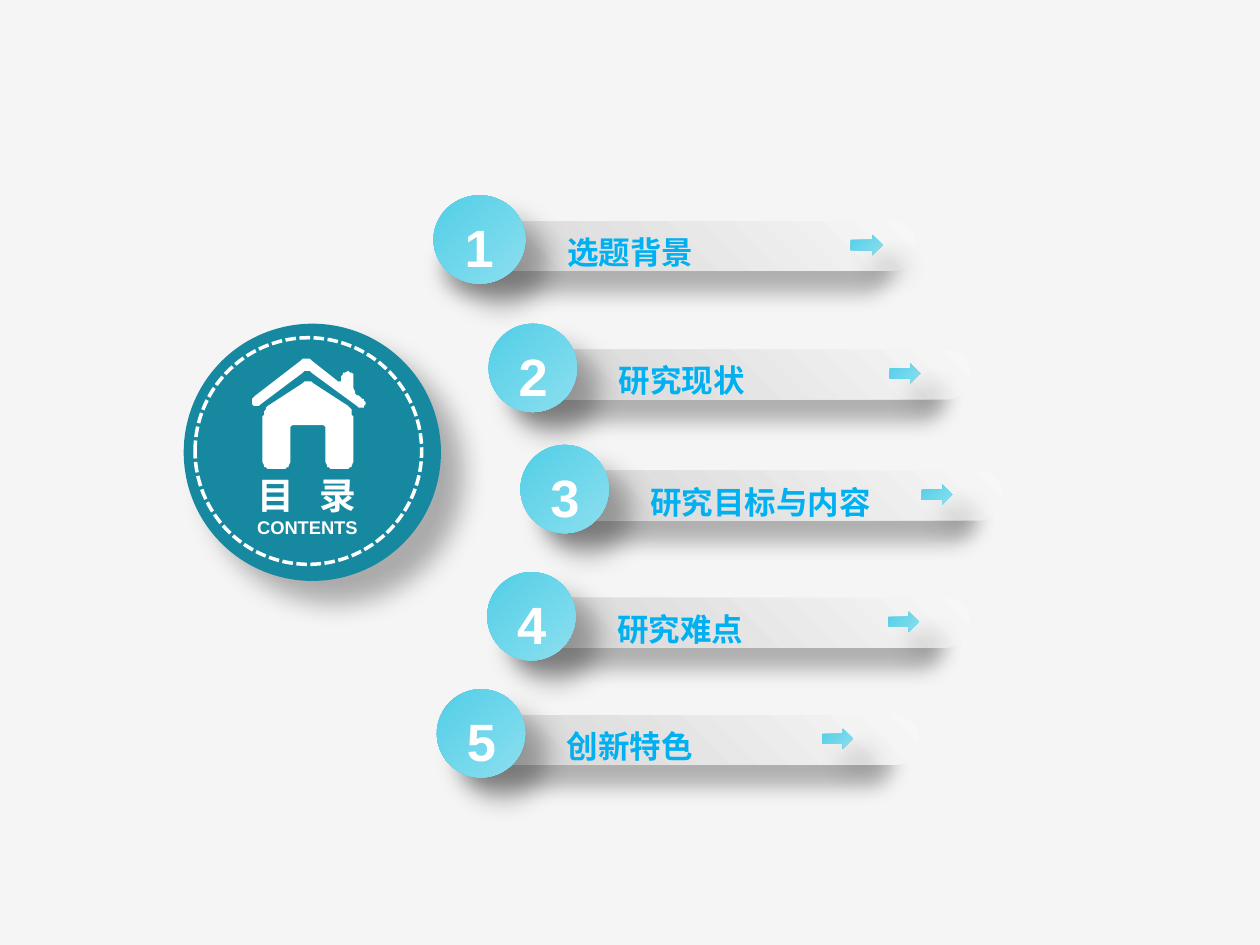
from math import dist

from lxml.etree import SubElement
from pptx import Presentation
from pptx.dml.color import RGBColor
from pptx.enum.dml import MSO_LINE
from pptx.enum.shapes import MSO_SHAPE
from pptx.enum.text import MSO_ANCHOR, PP_ALIGN
from pptx.oxml.ns import qn
from pptx.util import Pt

WHITE = RGBColor(0xFF, 0xFF, 0xFF)
BACKGROUND = RGBColor(0xF5, 0xF5, 0xF5)
TEAL = RGBColor(0x16, 0x89, 0xA0)
LABEL_BLUE = RGBColor(0x00, 0xB0, 0xF0)
CYAN = (RGBColor(0x52, 0xCE, 0xE7), RGBColor(0x8C, 0xDF, 0xEF))
GREY = (RGBColor(0xD6, 0xD6, 0xD6), RGBColor(0xF7, 0xF7, 0xF7))

# Shadows: opacity in percent, blur, distance, direction in degrees
SOFT_SHADOW = (30, 15, 18, 45)
BAR_SHADOW = (28, 11.8, 19.7, 141)

deck = Presentation()
deck.slide_width, deck.slide_height = Pt(720), Pt(540)
page = deck.slides.add_slide(deck.slide_layouts[6])
page.background.fill.solid()
page.background.fill.fore_color.rgb = BACKGROUND


def add_shape(kind, left, top, width, height, colors=(), shadow=None):
    """Add a borderless shape with no fill, one colour or a two-colour gradient."""
    shape = page.shapes.add_shape(kind, Pt(left), Pt(top), Pt(width), Pt(height))
    shape.line.fill.background()
    shape.shadow.inherit = False
    if len(colors) == 2:
        shape.fill.gradient()
        shape.fill.gradient_angle = 315
        for stop, color in zip(shape.fill.gradient_stops, colors):
            stop.color.rgb = color
    elif colors:
        shape.fill.solid()
        shape.fill.fore_color.rgb = colors[0]
    else:
        shape.fill.background()
    if shadow:
        opacity, blur, distance, angle = shadow
        effects = shape._element.spPr.find(qn("a:effectLst"))
        outer = SubElement(effects, qn("a:outerShdw"), blurRad=str(Pt(blur)),
                           dist=str(Pt(distance)), dir=str(angle * 60000),
                           algn="tl", rotWithShape="0")
        black = SubElement(outer, qn("a:srgbClr"), val="000000")
        SubElement(black, qn("a:alpha"), val=str(opacity * 1000))
    return shape


def add_text(text, left, top, width, height, sizes, color=WHITE, indent=5, bottom=3,
             anchor=MSO_ANCHOR.BOTTOM, align=PP_ALIGN.LEFT, tab=None):
    """Add bold text, one paragraph per line, with a size for each line."""
    box = page.shapes.add_textbox(Pt(left), Pt(top), Pt(width), Pt(height))
    frame = box.text_frame
    frame.word_wrap = True
    frame.vertical_anchor = anchor
    frame.margin_left, frame.margin_right = Pt(indent), Pt(5)
    frame.margin_top, frame.margin_bottom = Pt(3), Pt(bottom)
    frame.text = text
    for para, size in zip(frame.paragraphs, sizes):
        para.alignment = align
        if tab:
            stops = SubElement(para._p.get_or_add_pPr(), qn("a:tabLst"))
            SubElement(stops, qn("a:tab"), pos=str(Pt(tab)), algn="l")
        for span in para.runs:
            span.font.name = "Arial"
            span.font.size = Pt(size)
            span.font.bold = True
            span.font.color.rgb = color


# Title disc
add_shape(MSO_SHAPE.OVAL, 105, 185, 147, 147, [TEAL], SOFT_SHADOW)

# House icon: corners of each outline, rounded off with short curves
HOUSE_BODY = [(176, 216.5), (201.6, 234.5), (201.6, 267.8), (186.5, 267.8),
              (186.5, 242.6), (165.6, 242.6), (165.6, 267.8), (150.5, 267.8),
              (150.5, 234.5)]
HOUSE_ROOF = [(175, 203.8), (195.1, 219.5), (195.1, 212.4), (202.3, 212.4),
              (202.3, 224.5), (209.5, 229.5), (207, 234.5), (175.7, 210.5),
              (146.2, 233.5), (142.8, 228.5)]
for corners in (HOUSE_BODY, HOUSE_ROOF):
    points = []
    for i, corner in enumerate(corners):
        neighbours = (corners[i - 1], corners[(i + 1) % len(corners)])
        start, end = [
            [c + (n - c) * min(0.5, 3.5 / dist(corner, near)) for c, n in zip(corner, near)]
            for near in neighbours]
        for t in (0, 0.2, 0.4, 0.6, 0.8, 1):
            points.append([(1 - t) ** 2 * s + 2 * t * (1 - t) * c + t ** 2 * e
                           for s, c, e in zip(start, corner, end)])
    outline = page.shapes.build_freeform(*points[0], scale=Pt(1))
    outline.add_line_segments(points[1:], close=True)
    part = outline.convert_to_shape()
    part.fill.solid()
    part.fill.fore_color.rgb = WHITE
    part.line.fill.background()
    part.shadow.inherit = False

# Title and dashed ring
add_text("目\t录\nCONTENTS", 142, 267, 80, 50, (21, 10.5),
         anchor=MSO_ANCHOR.TOP, tab=35.4)
ring = add_shape(MSO_SHAPE.OVAL, 111.5, 193, 129.5, 129.5)
ring.line.color.rgb = WHITE
ring.line.width = Pt(2)
ring.line.dash_style = MSO_LINE.SQUARE_DOT

# Contents rows: label, left, top, horizontal scale, offset of the bar
ROWS = [
    ("选题背景", 247.7, 111.6, 1.04, 20),
    ("研究现状", 279.2, 185, 1, 29.5),
    ("研究目标与内容", 297.4, 254.2, 1, 29.5),
    ("研究难点", 278.4, 326.9, 1, 29.5),
    ("创新特色", 249.6, 393.8, 1, 29.5),
]
for number, (label, left, top, scale, offset) in enumerate(ROWS, 1):
    bar = add_shape(MSO_SHAPE.ROUNDED_RECTANGLE, left + offset, top + 14.8,
                    246.3 * scale, 28.4, GREY, BAR_SHADOW)
    bar.adjustments[0] = 0.5
    # Radial gradient spreading from the lower left corner
    gradient = bar._element.spPr.find(qn("a:gradFill"))
    gradient.remove(gradient.find(qn("a:lin")))
    radial = SubElement(gradient, qn("a:path"), path="circle")
    SubElement(radial, qn("a:fillToRect"), t="100000", r="100000")

    add_shape(MSO_SHAPE.OVAL, left, top, 50.5 * scale, 50.5, CYAN, SOFT_SHADOW)
    add_text(str(number), left + 8.5, top + 22, 34 * scale, 29.5, [30],
             bottom=4, align=PP_ALIGN.CENTER)
    add_text(label, left + 52.6 * scale, top + 21.2, 212.5 * scale, 28, [18],
             color=LABEL_BLUE, indent=21.7, bottom=6)
    arrow_left = left + (220.3 if number == 5 else 229.2) * scale
    add_shape(MSO_SHAPE.RIGHT_ARROW, arrow_left, top + 22.7, 17.5 * scale, 11.5,
              CYAN, SOFT_SHADOW)

deck.save("out.pptx")
